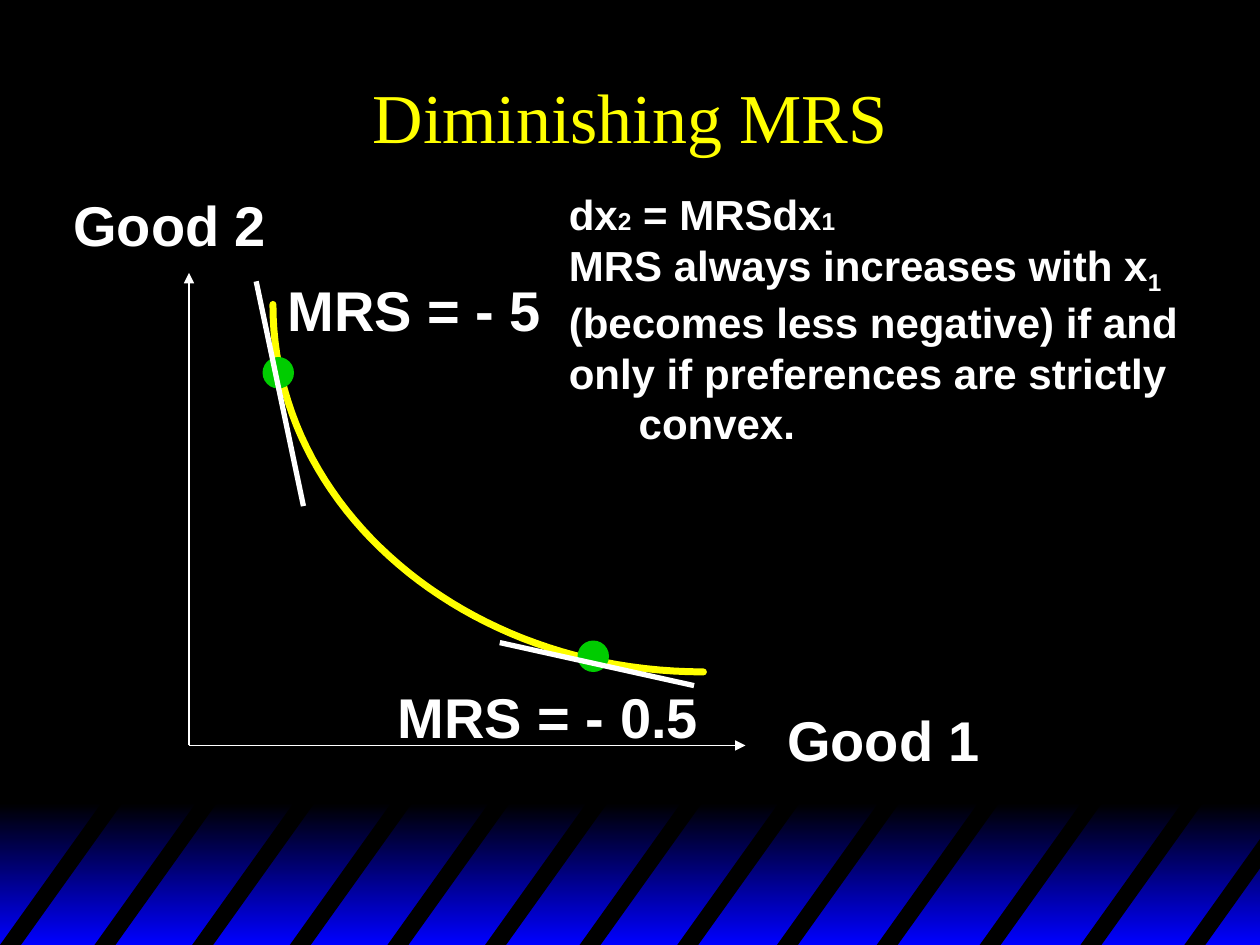
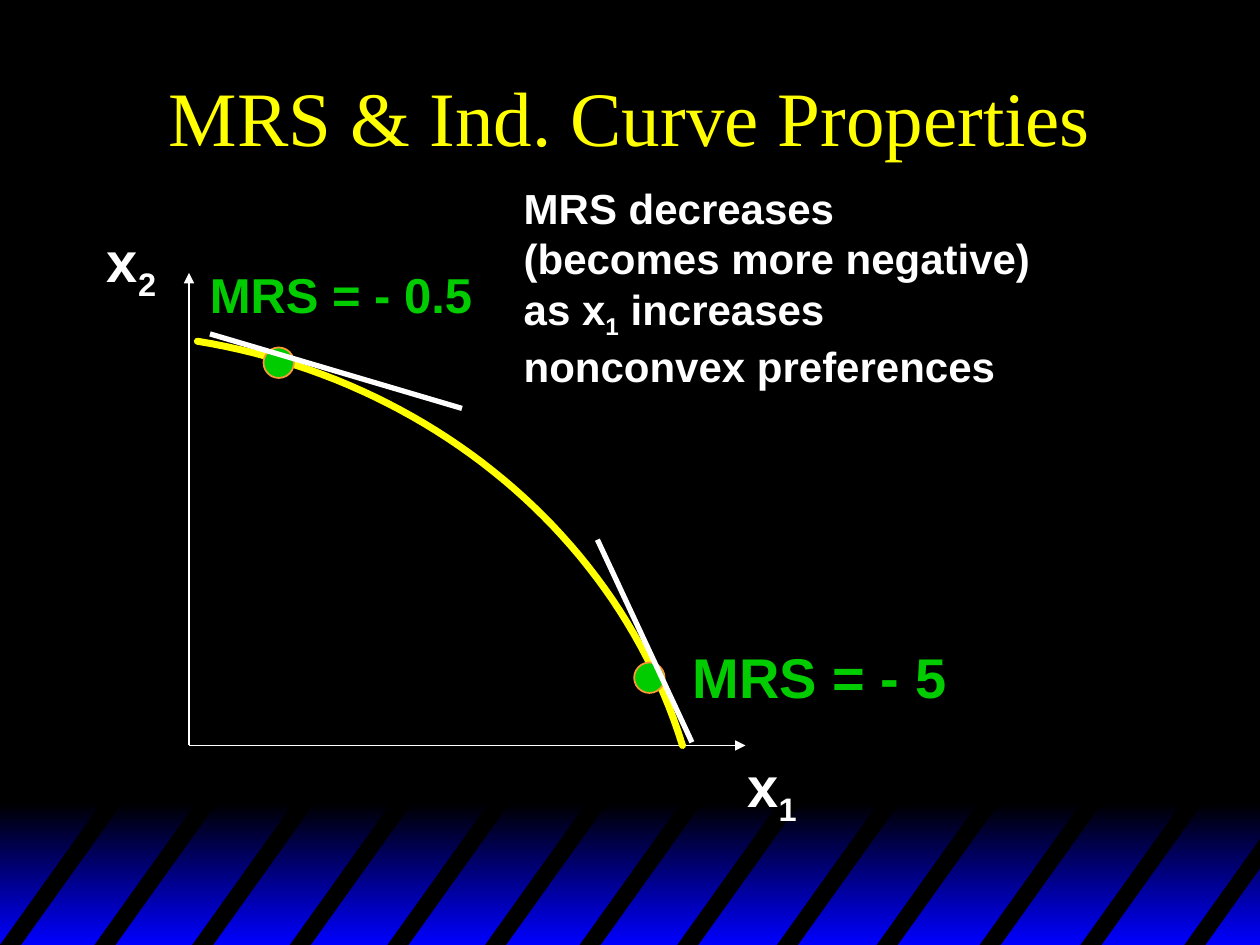
import pptx
import pptx.util
import pptx.dml.color
import pptx.enum.shapes
import pptx.enum.text
import pptx.oxml.ns
from lxml import etree

COLORS = {
    "back": "000000",
    "band": "0000FF",
    "title": "FFFF00",
    "curve": "FFFF00",
    "text": "FFFFFF",
    "line": "FFFFFF",
    "dot": "00CC00",
    "rim": "FF9933",
}
COLUMNS, ROWS = 120, 90
BAND_TOP = 76.5
STRIPE_TOP, STRIPE_WIDTH, STRIPE_RUN = 76, 2, 10
STRIPE_LEFTS = (0, 9, 18.3, 27.6, 36.9, 46.2, 55.2, 64.5, 74, 83.5, 93.3, 102.9, 112.8)
ORIGIN, AXIS_TOP, AXIS_RIGHT = (18, 71), (18, 26), (71, 71)
CURVE_STEPS = 48
SUB, SMALL = "subscript", "small"


def rgb(name):
    return pptx.dml.color.RGBColor.from_string(COLORS[name])


def qn(tag):
    return pptx.oxml.ns.qn(tag)


def bezier(points, t):
    """Point at t on the cubic curve with these four control points."""
    weights = ((1 - t) ** 3, 3 * t * (1 - t) ** 2, 3 * t ** 2 * (1 - t), t ** 3)
    return tuple(sum(w * p[axis] for w, p in zip(weights, points)) for axis in (0, 1))


class Deck:
    """Slide style and current slide; lengths are columns and rows of the grid."""

    def __init__(self):
        self.prs = pptx.Presentation()
        self.prs.slide_width = pptx.util.Inches(10)
        self.prs.slide_height = pptx.util.Inches(7.5)
        self.s = None

    def x(self, columns):
        return round(columns * self.prs.slide_width / COLUMNS)

    def y(self, rows):
        return round(rows * self.prs.slide_height / ROWS)

    def box(self, left, top, width, height):
        return self.x(left), self.y(top), self.x(width), self.y(height)

    def new_slide(self, title, size):
        self.s = self.prs.slides.add_slide(self.prs.slide_layouts[6])
        fill = self.s.background.fill
        fill.solid()
        fill.fore_color.rgb = rgb("back")
        self.footer_band()
        tf = self.text((9, 3, 102, 16), [[title]], size, "title", "Times New Roman", False)
        tf.vertical_anchor = pptx.enum.text.MSO_ANCHOR.MIDDLE
        tf.auto_size = pptx.enum.text.MSO_AUTO_SIZE.NONE
        tf.word_wrap = True
        tf.paragraphs[0].alignment = pptx.enum.text.PP_ALIGN.CENTER

    def footer_band(self):
        band = self.shape("RECTANGLE", (0, BAND_TOP, COLUMNS, ROWS - BAND_TOP))
        band.fill.gradient()
        band.fill.gradient_angle = 270
        for stop, position, name in zip(band.fill.gradient_stops, (0, 1), ("back", "band")):
            stop.position = position
            stop.color.rgb = rgb(name)
        slope = (ROWS - STRIPE_TOP) / STRIPE_RUN
        for left in STRIPE_LEFTS:
            right = left + STRIPE_WIDTH
            run_l, run_r = (min(STRIPE_RUN, COLUMNS - x) for x in (left, right))
            stripe = self.outline([
                (left, ROWS), (left + run_l, ROWS - run_l * slope),
                (right + run_r, ROWS - run_r * slope), (right, ROWS)], True)
            stripe.fill.solid()
            stripe.fill.fore_color.rgb = rgb("back")
            stripe.line.fill.background()

    def shape(self, kind, box):
        sp = self.s.shapes.add_shape(
            getattr(pptx.enum.shapes.MSO_SHAPE, kind), *self.box(*box))
        sp.shadow.inherit = False
        sp.line.fill.background()
        return sp

    def outline(self, points, close):
        points = [(self.x(x), self.y(y)) for x, y in points]
        builder = self.s.shapes.build_freeform(*points[0])
        builder.add_line_segments(points[1:], close=close)
        sp = builder.convert_to_shape()
        sp.shadow.inherit = False
        return sp

    def curve(self, *controls):
        sp = self.outline(
            [bezier(controls, i / CURVE_STEPS) for i in range(CURVE_STEPS + 1)], False)
        sp.fill.background()
        sp.line.color.rgb = rgb("curve")
        sp.line.width = pptx.util.Pt(4)
        ln = sp.element.spPr.find(qn("a:ln"))
        ln.set("cap", "rnd")
        etree.SubElement(ln, qn("a:round"))

    def dot(self, left, top, size, rim=False):
        sp = self.shape("OVAL", (left, top, size, size))
        sp.fill.solid()
        sp.fill.fore_color.rgb = rgb("dot")
        if rim:
            sp.line.color.rgb = rgb("rim")
            sp.line.width = pptx.util.Pt(1)

    def line(self, start, end, width=3, arrow=False):
        (x1, y1), (x2, y2) = start, end
        connector = self.s.shapes.add_connector(
            pptx.enum.shapes.MSO_CONNECTOR.STRAIGHT,
            self.x(x1), self.y(y1), self.x(x2), self.y(y2))
        connector.line.color.rgb = rgb("line")
        connector.line.width = pptx.util.Pt(width)
        spPr = connector.element.spPr
        if arrow:
            etree.SubElement(spPr.find(qn("a:ln")), qn("a:tailEnd"), type="triangle")
        etree.SubElement(spPr, qn("a:effectLst"))

    def axes(self):
        for tip in (AXIS_TOP, AXIS_RIGHT):
            self.line(ORIGIN, tip, 1, arrow=True)

    def text(self, box, paragraphs, size=32, color="text", font="Arial", bold=True, wrap=False):
        """Each paragraph is a list of strings and (string, SUB or SMALL) pairs."""
        tf = self.s.shapes.add_textbox(*self.box(*box)).text_frame
        tf.word_wrap = wrap
        tf.auto_size = pptx.enum.text.MSO_AUTO_SIZE.SHAPE_TO_FIT_TEXT
        for i, pieces in enumerate(paragraphs):
            p = tf.add_paragraph() if i else tf.paragraphs[0]
            p.font.name = font
            p.font.size = pptx.util.Pt(size)
            p.font.bold = bold
            p.font.color.rgb = rgb(color)
            for piece in pieces:
                words, style = (piece, None) if isinstance(piece, str) else piece
                for n, part in enumerate(words.split("\n")):
                    if n:
                        p.add_line_break()
                    r = p.add_run()
                    r.text = part
                    if style == SUB:
                        r.font.element.set("baseline", "-25000") if hasattr(
                            r.font, "element") else r._r.get_or_add_rPr().set("baseline", "-25000")
                    elif style == SMALL:
                        r.font.size = pptx.util.Pt(14)
        return tf


def diminishing_slide(deck):
    deck.new_slide("Diminishing MRS", 40)
    deck.axes()
    deck.curve((26, 29), (26, 48.4), (44.3, 64), (67, 64))
    deck.text((5.8, 17.6, 20.9, 7.6), [["Good 2"]])
    deck.text((73.8, 66.6, 20.9, 7.6), [["Good 1"]])
    deck.dot(55, 61, 3)
    deck.dot(25, 34, 3)
    deck.line((24.4, 26.8), (28.9, 48.2))
    deck.line((47.6, 61.2), (66.1, 65.3))
    deck.text((26.2, 25.6, 26.6, 7.6), [["MRS = - 5"]])
    deck.text((36.7, 64.4, 31.1, 7.6), [["MRS = - 0.5"]])
    tf = deck.text((53, 17.4, 65, 25.9), [
        ["dx", ("2", SMALL), " = MRSdx", ("1", SMALL)],
        ["MRS always increases with x", ("1", SUB),
         " (becomes less negative) if and only if preferences are strictly"],
        ["convex."],
    ], 24, wrap=True)
    indent = tf.paragraphs[-1]._p.get_or_add_pPr()
    indent.set("marL", str(deck.x(6.65)))


def properties_slide(deck):
    deck.new_slide("MRS & Ind. Curve Properties", 44)
    deck.axes()
    deck.curve((18.8, 32.5), (40.9, 36.1), (58.9, 51.1), (65, 71))
    deck.dot(60.4, 63.1, 2.9, rim=True)
    deck.dot(25.1, 33.1, 2.9, rim=True)
    deck.text((70, 71, 9, 8.5), [["x", ("1", SUB)]], wrap=True)
    deck.text((9, 21, 9, 8.5), [["x", ("2", SUB)]], wrap=True)
    deck.line((20, 31.8), (44, 38.9))
    deck.line((56.9, 51.4), (65.9, 70.7))
    deck.text((18.8, 24.6, 27.5, 6.8), [["MRS = - 0.5"]], 28, "dot")
    deck.text((64.8, 60.6, 26.6, 7.6), [["MRS = - 5"]], 32, "dot")
    deck.text((48.7, 16.8, 71, 21.1), [
        ["MRS decreases\n(becomes more negative)\nas x", ("1", SUB),
         " increases\nnonconvex preferences"],
    ], 24, wrap=True)


def main():
    deck = Deck()
    diminishing_slide(deck)
    properties_slide(deck)
    deck.prs.save("out.pptx")


if __name__ == "__main__":
    main()
